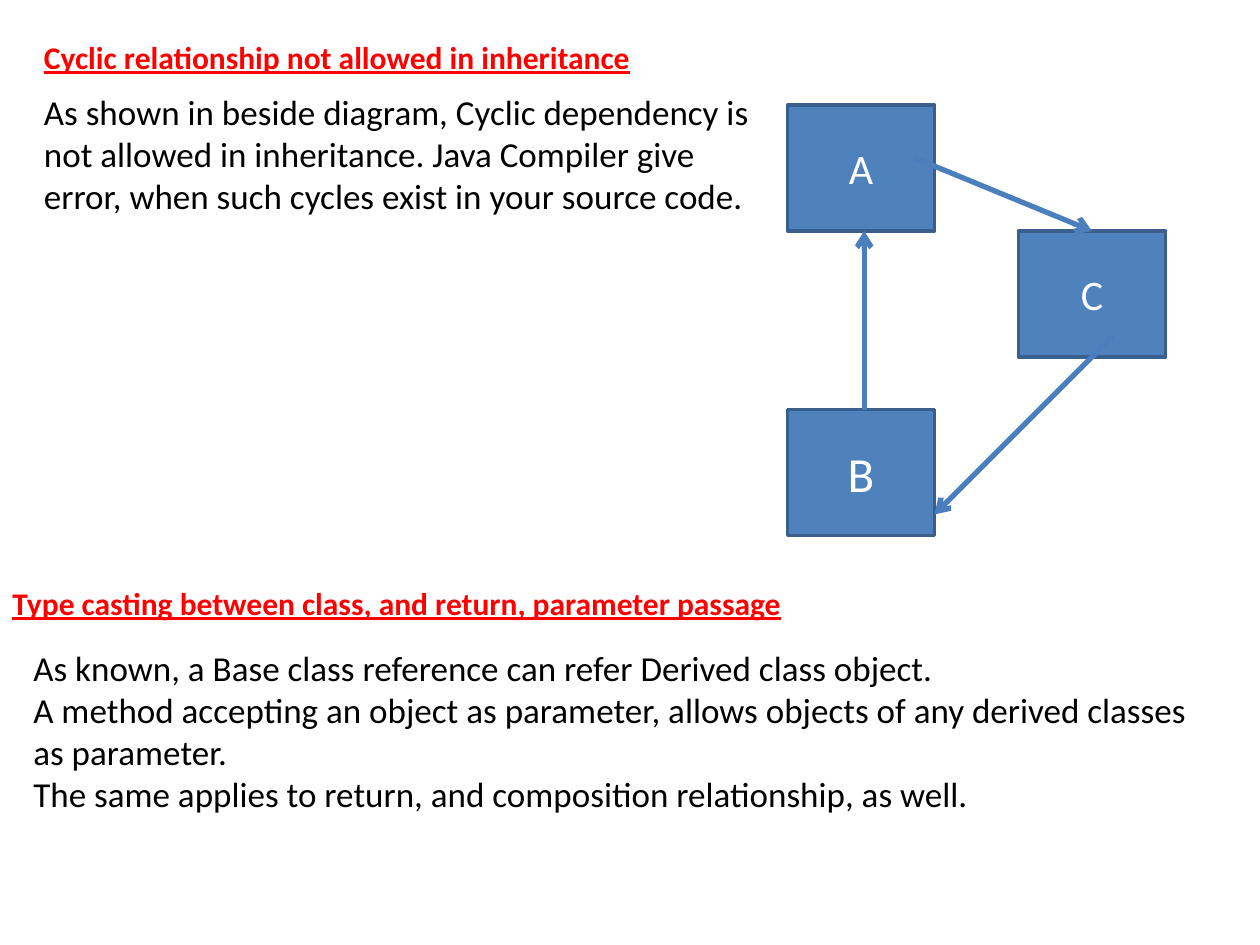
from dataclasses import dataclass

import pptx
import pptx.dml.color
import pptx.enum.shapes
import pptx.enum.text
import pptx.oxml
import pptx.oxml.ns
import pptx.util

FONT = "Calibri"
RED, BLACK, WHITE = "FF0000", "000000", "FFFFFF"
BOX_FILL, BOX_EDGE, ARROW = "4F81BD", "3A5F8C", "4B7EBC"
CELLS_PER_INCH = 12  # the slide is a grid of 120 columns by 90 rows
BOX_COLS, BOX_ROWS = 14, 12


@dataclass
class Passage:
    col: float
    row: float
    cols: float
    rows: float
    lines: list[str]
    heading: bool = False


@dataclass
class ClassBox:
    label: str
    col: float
    row: float
    size: int = 24


@dataclass
class Link:
    start: tuple[float, float]
    end: tuple[float, float]


PASSAGES = [
    Passage(3, 3, 104, 4.8, ["Cyclic relationship not allowed in inheritance"], True),
    Passage(0, 55, 104, 4.8,
            ["Type casting between class, and return, parameter passage"], True),
    Passage(3, 8, 70, 13.3, [
        "As shown in beside diagram, Cyclic dependency is not allowed in inheritance. "
        "Java Compiler give error, when such cycles exist in your source code."]),
    Passage(2, 61, 113, 17.4, [
        "As known, a Base class reference can refer Derived class object. ",
        "A method accepting an object as parameter, allows objects of any derived "
        "classes as parameter. ",
        "The same applies to return, and composition relationship, as well."]),
]
CLASSES = [ClassBox("A", 75, 10), ClassBox("B", 75, 39, 28), ClassBox("C", 97, 22)]
LINKS = [
    Link((82.3, 39), (82.3, 22)),
    Link((87, 15), (104, 22)),
    Link((106, 32), (89, 49)),
]


def cells(count: float) -> pptx.util.Length:
    return pptx.util.Inches(count / CELLS_PER_INCH)


def color(code: str) -> pptx.dml.color.RGBColor:
    return pptx.dml.color.RGBColor.from_string(code)


def style(paragraph, size: int, code: str, heading: bool = False) -> None:
    for run in paragraph.runs:
        run.font.name = FONT
        run.font.size = pptx.util.Pt(size)
        run.font.color.rgb = color(code)
        run.font.bold = run.font.underline = heading


def draw_passage(slide, passage: Passage) -> None:
    box = slide.shapes.add_textbox(*map(
        cells, (passage.col, passage.row, passage.cols, passage.rows)))
    frame = box.text_frame
    frame.word_wrap = True
    frame.auto_size = pptx.enum.text.MSO_AUTO_SIZE.SHAPE_TO_FIT_TEXT
    frame.text = "\n".join(passage.lines)
    for paragraph in frame.paragraphs:
        if passage.heading:
            style(paragraph, 18, RED, True)
        else:
            style(paragraph, 20, BLACK)


def draw_class(slide, item: ClassBox) -> None:
    box = slide.shapes.add_shape(
        pptx.enum.shapes.MSO_SHAPE.RECTANGLE,
        *map(cells, (item.col, item.row, BOX_COLS, BOX_ROWS)))
    box.shadow.inherit = False
    box.fill.solid()
    box.fill.fore_color.rgb = color(BOX_FILL)
    box.line.color.rgb = color(BOX_EDGE)
    box.line.width = pptx.util.Pt(2)
    frame = box.text_frame
    frame.text = item.label
    frame.vertical_anchor = pptx.enum.text.MSO_ANCHOR.MIDDLE
    frame.paragraphs[0].alignment = pptx.enum.text.PP_ALIGN.CENTER
    style(frame.paragraphs[0], item.size, WHITE)


def draw_link(slide, link: Link) -> None:
    arrow = slide.shapes.add_connector(
        pptx.enum.shapes.MSO_CONNECTOR.STRAIGHT, *map(cells, link.start + link.end))
    arrow.line.color.rgb = color(ARROW)
    arrow.line.width = pptx.util.Pt(3)
    # Open arrowhead at the end, and no shadow
    head = pptx.oxml.parse_xml(
        f'<a:tailEnd {pptx.oxml.ns.nsdecls("a")} type="arrow"/>')
    arrow.line._get_or_add_ln().append(head)
    arrow._element.spPr.append(
        pptx.oxml.parse_xml(f'<a:effectLst {pptx.oxml.ns.nsdecls("a")}/>'))


def main() -> None:
    deck = pptx.Presentation()
    deck.slide_width, deck.slide_height = cells(120), cells(90)
    slide = deck.slides.add_slide(deck.slide_layouts[6])
    # Headings and explanations
    for passage in PASSAGES:
        draw_passage(slide, passage)
    # Inheritance cycle
    for item in CLASSES:
        draw_class(slide, item)
    for link in LINKS:
        draw_link(slide, link)
    deck.save("out.pptx")


main()
